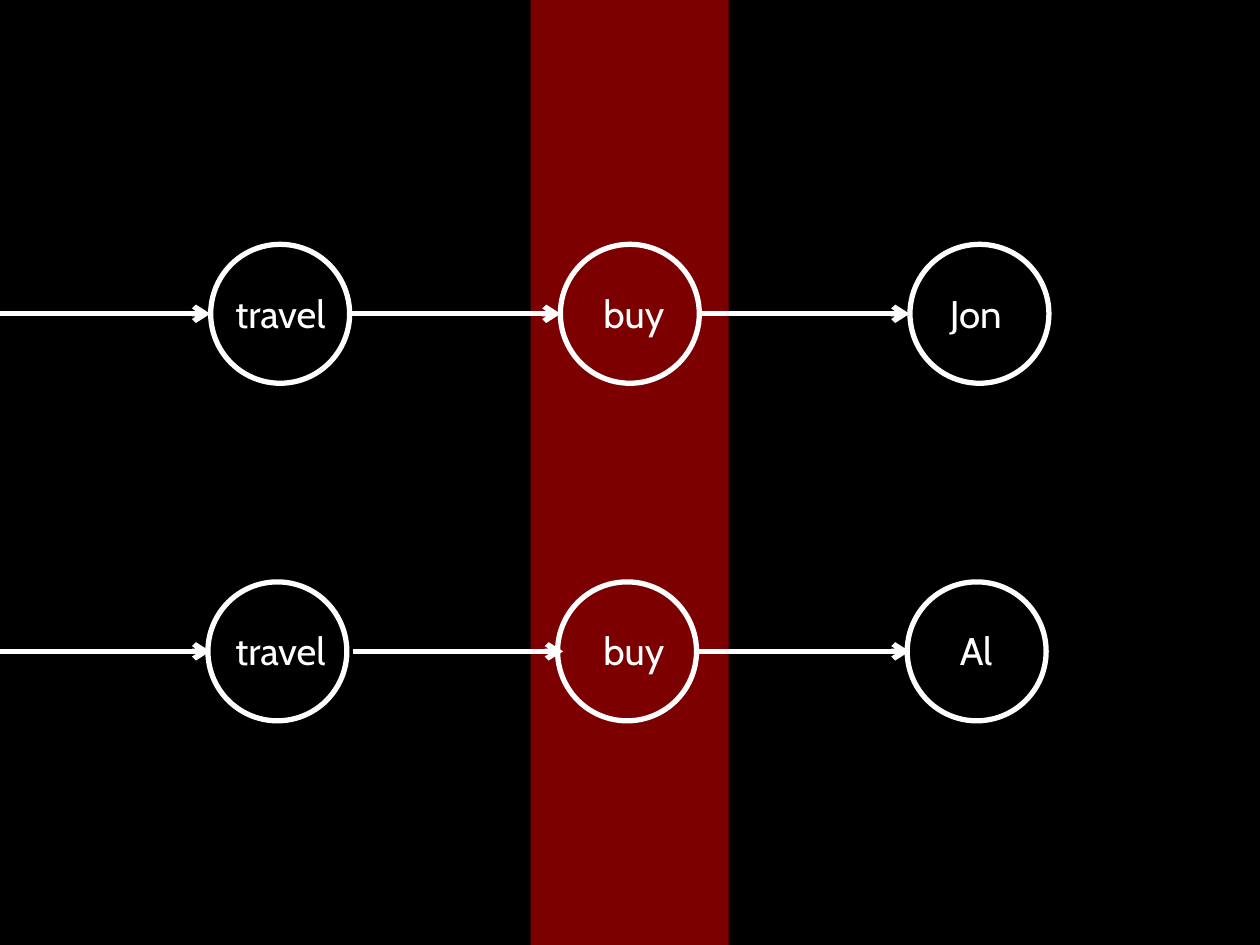
from lxml.etree import SubElement
from pptx import Presentation
from pptx.dml.color import RGBColor
from pptx.enum.shapes import MSO_CONNECTOR as Connector, MSO_SHAPE as Shape
from pptx.enum.text import MSO_AUTO_SIZE as AutoSize
from pptx.oxml.ns import qn
from pptx.util import Pt

WIDTH, HEIGHT = 720, 540
WHITE, BLACK, RED = "FFFFFF", "000000", "7D0000"
STEP = 199.8
DIAMETER = 79.4
ARROW_LENGTH = 120.2
ROWS = [
    (179.3, 120.4, (0, 200.2, 399.6),
     (("travel", 127.4, 68.4), ("buy", 337.7, 51.8), ("Jon", 535.7, 48.2))),
    (372.2, 118.8, (0, 201.6, 399.6),
     (("travel", 127.4, 68.4), ("buy", 337.7, 51.8), ("Al", 541.4, 33.8))),
]


def color(value):
    return RGBColor.from_string(value)


def style_line(line):
    line.color.rgb = color(WHITE)
    line.width = Pt(3)


def add_band(page, left, width):
    band = page.shapes.add_shape(Shape.RECTANGLE, Pt(left), 0, Pt(width), Pt(HEIGHT))
    band.shadow.inherit = False
    band.fill.solid()
    band.fill.fore_color.rgb = color(RED)
    band.line.fill.background()


def add_circle(page, left, top):
    circle = page.shapes.add_shape(
        Shape.OVAL, Pt(left), Pt(top), Pt(DIAMETER), Pt(DIAMETER))
    circle.shadow.inherit = False
    circle.fill.background()
    style_line(circle.line)


def add_arrow(page, left, middle):
    arrow = page.shapes.add_connector(
        Connector.STRAIGHT, Pt(left), Pt(middle), Pt(left + ARROW_LENGTH), Pt(middle))
    style_line(arrow.line)
    SubElement(arrow.line._get_or_add_ln(), qn("a:tailEnd"), type="arrow")
    SubElement(arrow._element.spPr, qn("a:effectLst"))


def add_label(page, text, left, top, width):
    box = page.shapes.add_textbox(Pt(left), Pt(top), Pt(width), Pt(33.8))
    frame = box.text_frame
    frame.word_wrap = False
    frame.auto_size = AutoSize.SHAPE_TO_FIT_TEXT
    frame.text = text
    font = frame.paragraphs[0].runs[0].font
    font.name = "Cabin"
    font.size = Pt(22)
    font.color.rgb = color(WHITE)


def add_chain(page, middle, first_circle, arrow_starts, labels):
    for column in range(len(labels)):
        add_circle(page, first_circle + column * STEP, middle - DIAMETER / 2)
    for start in arrow_starts:
        add_arrow(page, start, middle)
    for text, left, width in labels:
        add_label(page, text, left, middle - 17.3, width)


def main():
    deck = Presentation()
    deck.slide_width, deck.slide_height = Pt(WIDTH), Pt(HEIGHT)
    page = deck.slides.add_slide(deck.slide_layouts[6])
    page.background.fill.solid()
    page.background.fill.fore_color.rgb = color(BLACK)
    add_band(page, 303.2, 113.2)
    for row in ROWS:
        add_chain(page, *row)
    deck.save("out.pptx")


if __name__ == "__main__":
    main()
